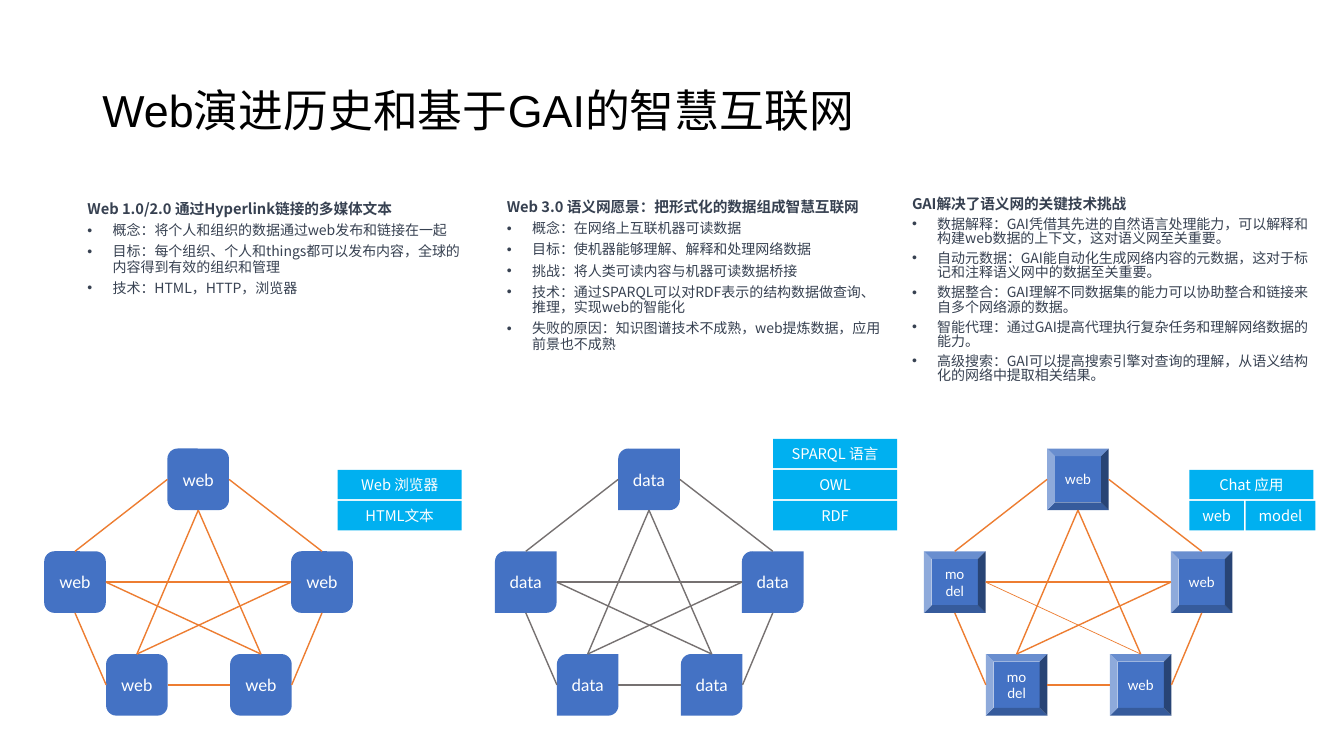
from lxml.etree import SubElement
from pptx import Presentation
from pptx.dml.color import RGBColor
from pptx.enum.shapes import MSO_CONNECTOR, MSO_SHAPE
from pptx.enum.text import MSO_ANCHOR, PP_ALIGN
from pptx.oxml.ns import qn
from pptx.util import Pt

COLORS = {"node": "4472C4", "tag": "00B0F0", "orange": "ED7D31", "gray": "767171",
          "body": "374151", "white": "FFFFFF", "black": "000000"}
CJK = "Noto Sans CJK SC"
TITLE = "Web演进历史和基于GAI的智慧互联网"

# Text columns: left, top, width, line spacing, heading, bullets
COLUMNS = [
    (55.4, 140.4, 286, 0.92, "Web 1.0/2.0 通过Hyperlink链接的多媒体文本", [
        "概念：将个人和组织的数据通过web发布和链接在一起",
        "目标：每个组织、个人和things都可以发布内容，全球的内容得到有效的组织和管理",
        "技术：HTML，HTTP，浏览器"]),
    (355, 139, 286, 0.92, "Web 3.0 语义网愿景：把形式化的数据组成智慧互联网", [
        "概念：在网络上互联机器可读数据",
        "目标：使机器能够理解、解释和处理网络数据",
        "挑战：将人类可读内容与机器可读数据桥接",
        "技术：通过SPARQL可以对RDF表示的结构数据做查询、推理，实现web的智能化",
        "失败的原因：知识图谱技术不成熟，web提炼数据，应用前景也不成熟"]),
    (644.4, 137.5, 297.4, 0.85, "GAI解决了语义网的关键技术挑战", [
        "数据解释：GAI凭借其先进的自然语言处理能力，可以解释和构建web数据的上下文，这对语义网至关重要。",
        "自动元数据：GAI能自动化生成网络内容的元数据，这对于标记和注释语义网中的数据至关重要。",
        "数据整合：GAI理解不同数据集的能力可以协助整合和链接来自多个网络源的数据。",
        "智能代理：通过GAI提高代理执行复杂任务和理解网络数据的能力。",
        "高级搜索：GAI可以提高搜索引擎对查询的理解，从语义结构化的网络中提取相关结果。"]),
]

# Networks: left, node shape, text size, text margin, line colour, labels
NETWORKS = [
    (31.6, MSO_SHAPE.ROUNDED_RECTANGLE, 12, 0, "orange", ["web"] * 5),
    (353.6, MSO_SHAPE.ROUND_2_DIAG_RECTANGLE, 12, 0, "gray", ["data"] * 5),
    (660, MSO_SHAPE.BEVEL, 10, 7.2, "orange", ["web", "model", "web", "model", "web"]),
]
NODE = 44
# Node offsets: top, left, right, bottom left, bottom right
PENTAGON = [(88, 320.4), (0, 393.8), (176.4, 393.8), (44.2, 467.2), (132.8, 467.2)]
TOP, LEFT, BOTTOM, RIGHT = range(4)
# Links: start node, its side, end node, its side
LINKS = [(1, TOP, 0, LEFT), (1, BOTTOM, 3, LEFT), (2, BOTTOM, 4, RIGHT),
         (3, RIGHT, 4, LEFT), (0, RIGHT, 2, TOP), (3, TOP, 0, BOTTOM),
         (4, TOP, 0, BOTTOM), (1, RIGHT, 2, LEFT), (3, TOP, 2, LEFT),
         (1, RIGHT, 4, TOP)]

# Tag stacks: left, rows from the bottom up, each row of (label, width)
TAG_H, TAG_STEP, TAG_GAP, TAG_BASE = 21, 22.2, 1.2, 357.8
TAGS = [
    (241.2, [[("HTML文本", 88.6)], [("Web 浏览器", 88.6)]]),
    (552.2, [[("RDF", 88.6)], [("OWL", 88.6)], [("SPARQL 语言", 88.6)]]),
    (849.6, [[("web", 39), ("model", 49.8)], [("Chat 应用", 88.6)]]),
]

prs = Presentation()
prs.slide_width, prs.slide_height = Pt(960), Pt(540)
s = prs.slides.add_slide(prs.slide_layouts[5])


def write(p, text, size=10, font=CJK, color="white", bold=False, align=PP_ALIGN.LEFT,
          spacing=1.0):
    p.alignment, p.line_spacing = align, spacing
    r = p.add_run()
    r.text = text
    r.font.size, r.font.bold = Pt(size), bold
    r.font.color.rgb = RGBColor.from_string(COLORS[color])
    r.font.name = font
    SubElement(r.font._element, qn("a:ea"), typeface=CJK)


def add_box(kind, x, y, w, h, fill, text, margin=0, **fmt):
    sp = s.shapes.add_shape(kind, Pt(x), Pt(y), Pt(w), Pt(h))
    sp.shadow.inherit = False
    sp.fill.solid()
    sp.fill.fore_color.rgb = RGBColor.from_string(COLORS[fill])
    sp.line.fill.background()
    tf = sp.text_frame
    tf.word_wrap, tf.vertical_anchor = True, MSO_ANCHOR.MIDDLE
    tf.margin_left = tf.margin_right = Pt(margin)
    tf.margin_top = tf.margin_bottom = Pt(margin / 2)
    write(tf.paragraphs[0], text, align=PP_ALIGN.CENTER, **fmt)
    return sp


def side_point(x, y, side):
    dx, dy = [(0.5, 0), (0, 0.5), (0.5, 1), (1, 0.5)][side]
    return Pt(x + dx * NODE), Pt(y + dy * NODE)


# Title
title = s.shapes.title
title.left, title.top, title.width, title.height = Pt(66), Pt(28.8), Pt(828), Pt(104.4)
title.text_frame.vertical_anchor = MSO_ANCHOR.MIDDLE
write(title.text_frame.paragraphs[0], TITLE, size=32, font="Arial", color="black",
      spacing=0.9)

# Networks of five linked nodes
for left, kind, size, margin, line_color, labels in NETWORKS:
    spots = [(left + dx, y) for dx, y in PENTAGON]
    nodes = [add_box(kind, x, y, NODE, NODE, "node", label, margin, size=size, font="Lato")
             for (x, y), label in zip(spots, labels)]
    for a, a_side, b, b_side in LINKS:
        c = s.shapes.add_connector(MSO_CONNECTOR.STRAIGHT, *side_point(*spots[a], a_side),
                                   *side_point(*spots[b], b_side))
        thin = kind == MSO_SHAPE.BEVEL and (a, b) == (1, 4)
        c.line.width = Pt(0.5 if thin else 1)
        c.line.color.rgb = RGBColor.from_string(COLORS[line_color])
        SubElement(c._element.spPr, qn("a:effectLst"))
        # Only this node shape numbers its sites like a rectangle
        if kind == MSO_SHAPE.ROUNDED_RECTANGLE:
            c.begin_connect(nodes[a], a_side)
            c.end_connect(nodes[b], b_side)

# Technology tags
for left, rows in TAGS:
    for i, row in enumerate(rows):
        x = left
        for label, width in row:
            add_box(MSO_SHAPE.RECTANGLE, x, TAG_BASE - i * TAG_STEP, width, TAG_H, "tag",
                    label, size=10.5)
            x += width + TAG_GAP

# Text columns
for left, top, width, spacing, heading, bullets in COLUMNS:
    tf = s.shapes.add_textbox(Pt(left), Pt(top), Pt(width), Pt(190)).text_frame
    tf.word_wrap = True
    p = tf.paragraphs[0]
    p.space_after = Pt(2)
    write(p, heading, size=10.5, color="body", bold=True, spacing=spacing)
    for bullet in bullets:
        p = tf.add_paragraph()
        pPr = p._element.get_or_add_pPr()
        pPr.set("marL", str(Pt(18)))
        pPr.set("indent", str(-Pt(18)))
        SubElement(pPr, qn("a:buFont"), typeface="Arial")
        SubElement(pPr, qn("a:buChar"), char="•")
        p.space_before = p.space_after = Pt(2)
        write(p, bullet, color="body", spacing=spacing)

prs.save("out.pptx")
